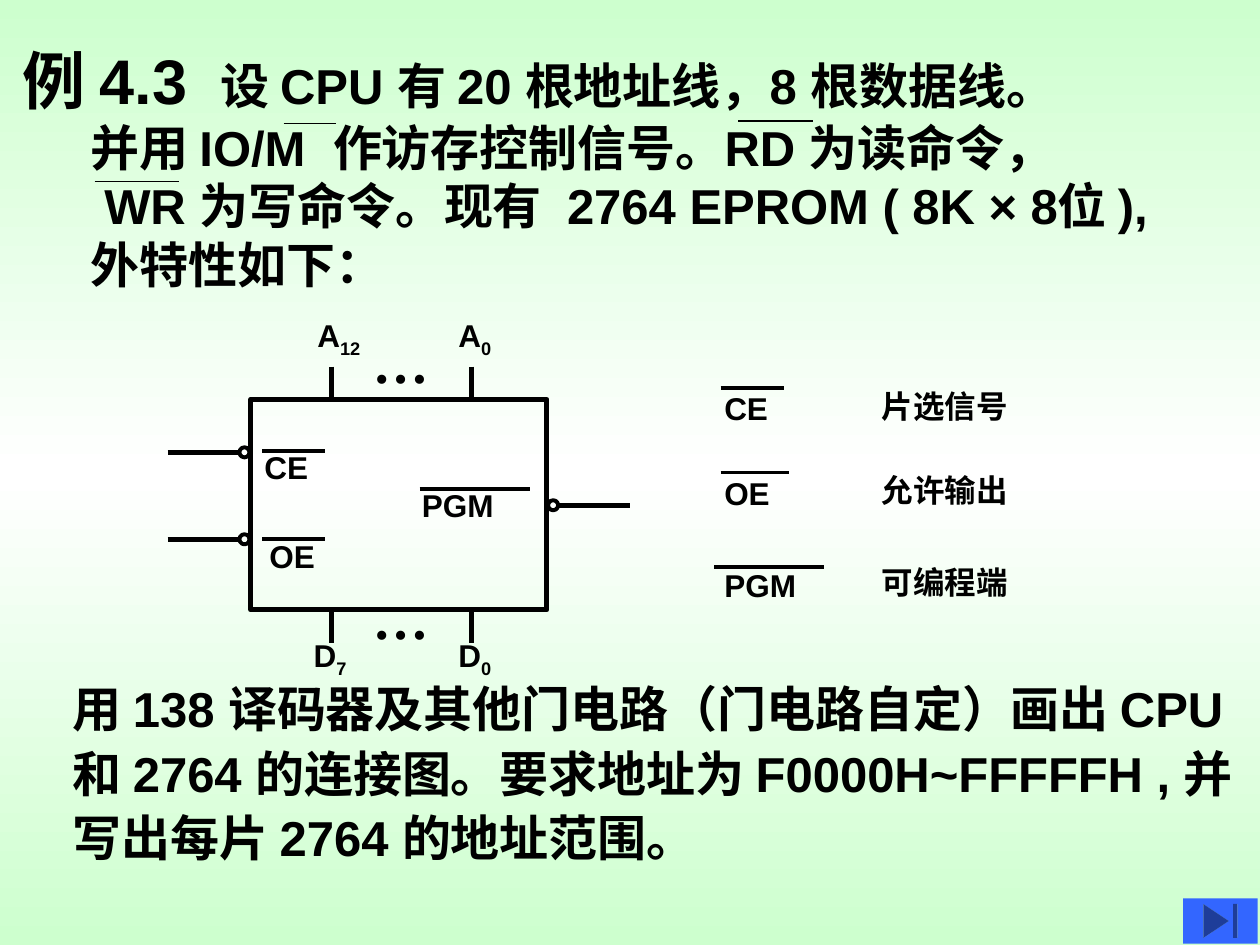
from collections import namedtuple
from copy import deepcopy

from lxml import etree
from pptx import Presentation
from pptx.dml.color import RGBColor
from pptx.enum.shapes import MSO_CONNECTOR, MSO_SHAPE
from pptx.enum.text import MSO_AUTO_SIZE
from pptx.oxml.ns import qn
from pptx.util import Inches, Pt

RECTANGLE, OVAL = MSO_SHAPE.RECTANGLE, MSO_SHAPE.OVAL
END_BUTTON = MSO_SHAPE.ACTION_BUTTON_END
STRAIGHT = MSO_CONNECTOR.STRAIGHT
FIT_TEXT = MSO_AUTO_SIZE.SHAPE_TO_FIT_TEXT

BLACK = RGBColor(0x00, 0x00, 0x00)
WHITE = RGBColor(0xFF, 0xFF, 0xFF)
MINT = RGBColor(0xCD, 0xFF, 0xCE)
BLUE = RGBColor(0x33, 0x66, 0xFF)

# Boxes are measured on a grid of 100 columns by 75 rows.
Box = namedtuple("Box", "left top width height")


def grid(value):
    return Inches(value / 10)


def paint_background(page):
    fill = page.background.fill
    fill.gradient()
    fill.gradient_angle = 90
    stop_list = page._element.xpath(".//p:bg//a:gsLst")[0]
    stop_list.append(deepcopy(stop_list[0]))
    for stop, color, position in zip(fill.gradient_stops, (MINT, WHITE, MINT), (0, 0.5, 1)):
        stop.color.rgb = color
        stop.position = position


def add_line(page, x1, y1, x2, y2, weight):
    line = page.shapes.add_connector(STRAIGHT, grid(x1), grid(y1), grid(x2), grid(y2))
    line.line.color.rgb = BLACK
    line.line.width = Pt(weight)
    etree.SubElement(line._element.spPr, qn("a:effectLst"))


def add_outline(page, kind, box, weight):
    shape = page.shapes.add_shape(kind, *map(grid, box))
    shape.shadow.inherit = False
    shape.fill.background()
    shape.line.color.rgb = BLACK
    shape.line.width = Pt(weight)


def add_frame(page, box, wrap):
    frame = page.shapes.add_textbox(*map(grid, box)).text_frame
    frame.word_wrap = wrap
    frame.auto_size = FIT_TEXT
    return frame


def add_span(para, text, size, font="Arial"):
    span = para.add_run()
    span.text = text
    span.font.name = font
    span.font.size = Pt(size)
    span.font.bold = True
    span.font.color.rgb = BLACK
    return span


def add_gap(para, extra):
    """Add one space widened by extra points."""
    span = add_span(para, " ", 28)
    span._r.get_or_add_rPr().set("spc", str(extra * 100))


def add_label(page, box, text, subscript="", size=18, font="Arial"):
    para = add_frame(page, box, False).paragraphs[0]
    add_span(para, text, size, font)
    if subscript:
        add_span(para, subscript, size, font).font._element.set("baseline", "-25000")


def add_problem(page, box):
    """Each line is an indent in inches and its pieces, with a gap between pieces."""
    lines = [
        (0, ["例 4.3", "设 CPU 有 20 根地址线，8 根数据线。"], 11),
        (0.54, ["并用 IO/M", "作访存控制信号。RD 为读命令，"], 8),
        (0.65, ["WR 为写命令。现有", "2764 EPROM ( 8K × 8位 ),"], 8),
        (0.54, ["外特性如下："], 0),
    ]
    frame = add_frame(page, box, True)
    for number, (indent, pieces, gap) in enumerate(lines):
        para = frame.add_paragraph() if number else frame.paragraphs[0]
        para._p.get_or_add_pPr().set("marL", str(Inches(indent)))
        for index, piece in enumerate(pieces):
            if index:
                add_gap(para, gap)
            add_span(para, piece, 28 if number or index else 36)
    for start, end, row in ((21.7, 25.9, 7), (57.8, 63.7, 6.8), (6.7, 13.4, 11.6)):
        add_line(page, box.left + start, box.top + row, box.left + end, box.top + row, 0.75)


def add_signal(page, box, name, bar_start, bar_end, bar_row):
    """Add an active-low signal name with its bar, measured from the name's box."""
    add_label(page, box, name)
    row = box.top + bar_row
    add_line(page, box.left + bar_start, row, box.left + bar_end, row, 2.25)


def add_chip(page, box):
    left, top, width, height = box
    right, bottom = left + width, top + height
    pin, wire, bubble = 2.6, 5.7, 0.8
    add_outline(page, RECTANGLE, box, 3)

    for column in (left + 6.4, left + 17.5):
        add_line(page, column, top - pin, column, top, 3)
        add_line(page, column, bottom, column, bottom + pin, 3)
    for row in (top - 6.2, bottom - 2.6):
        add_label(page, Box(left + 8.7, row, 6.5, 6.3), "…", size=32, font="Times New Roman")
    for letter, index, column, row, span_width in (
        ("A", "12", 4.3, top - 7.1, 6.6),
        ("A", "0", 15.5, top - 7.1, 5.5),
        ("D", "7", 4, bottom + 1.6, 5.5),
        ("D", "0", 15.5, bottom + 1.6, 5.5),
    ):
        add_label(page, Box(left + column, row, span_width, 5), letter, index)

    for bubble_left, wire_start, row in (
        (left - 0.9, left - 0.9 - wire, top + 4.2),
        (left - 0.9, left - 0.9 - wire, top + 11.1),
        (right + 0.1, right + 0.1 + bubble, top + 8.4),
    ):
        add_line(page, wire_start, row, wire_start + wire, row, 3)
        add_outline(page, OVAL, Box(bubble_left, row - bubble / 2, bubble, bubble), 2.25)

    add_signal(page, Box(left + 0.1, top + 3.4, 6.6, 5), "CE", 0.8, 5.8, 0.7)
    add_signal(page, Box(left + 0.5, top + 10.4, 6.8, 5), "OE", 0.4, 5.4, 0.7)
    add_signal(page, Box(left + 12.6, top + 6.4, 9.8, 5), "PGM", 0.8, 9.6, 0.7)


def add_legend(page, box):
    for row, name, name_width, bar, meaning in (
        (0, "CE", 6.6, (0.7, 5.7, 0.4), "片选信号"),
        (6.7, "OE", 6.8, (0.7, 6.1, 0.4), "允许输出"),
        (14, "PGM", 9.8, (0.2, 8.9, 0.6), "可编程端"),
    ):
        top = box.top + row
        add_signal(page, Box(box.left, top + 0.2, name_width, 5), name, *bar)
        add_label(page, Box(box.left + 12.5, top, 15.3, 5), meaning)


def add_task(page, box):
    frame = add_frame(page, box, True)
    texts = [
        "用 138 译码器及其他门电路（门电路自定）画出 CPU和 2764 的连接图。要求地址为 F0000H~FFFFFH , 并",
        "写出每片 2764 的地址范围。",
    ]
    for number, text in enumerate(texts):
        para = frame.add_paragraph() if number else frame.paragraphs[0]
        para.line_spacing = 1.1
        add_span(para, text, 28)


def add_end_button(page, box):
    button = page.shapes.add_shape(END_BUTTON, *map(grid, box))
    button.shadow.inherit = False
    button.fill.solid()
    button.fill.fore_color.rgb = BLUE
    button.line.fill.background()


def main():
    deck = Presentation()
    deck.slide_width, deck.slide_height = grid(100), grid(75)
    page = deck.slides.add_slide(deck.slide_layouts[6])
    paint_background(page)
    add_problem(page, Box(0.8, 2.8, 95.3, 21))
    add_task(page, Box(4.8, 52.9, 95, 16.4))
    add_chip(page, Box(19.9, 31.7, 23.5, 16.7))
    add_legend(page, Box(56.5, 30.2, 27.8, 19.2))
    add_end_button(page, Box(93.9, 71.3, 5.9, 3.6))
    deck.save("out.pptx")


if __name__ == "__main__":
    main()
